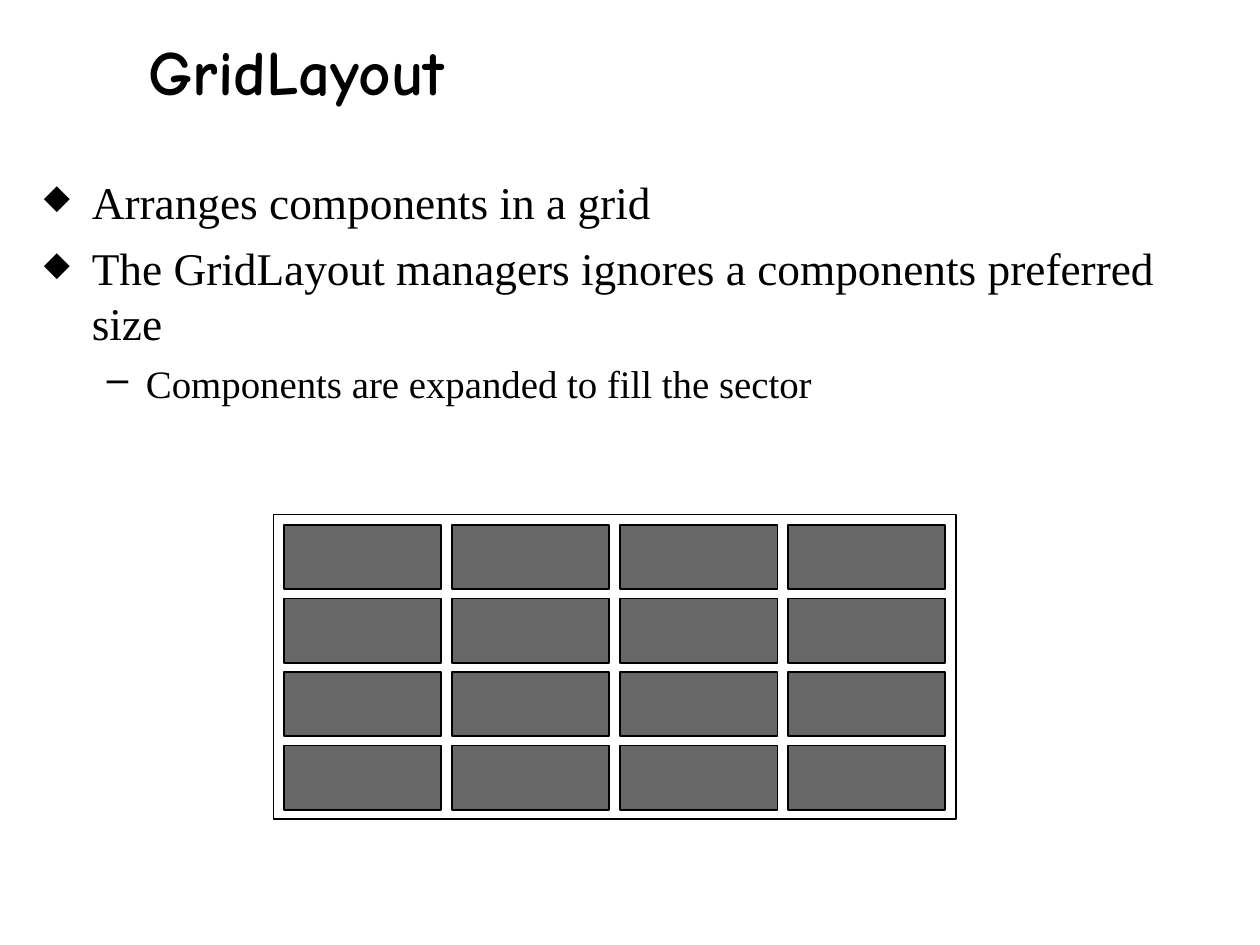
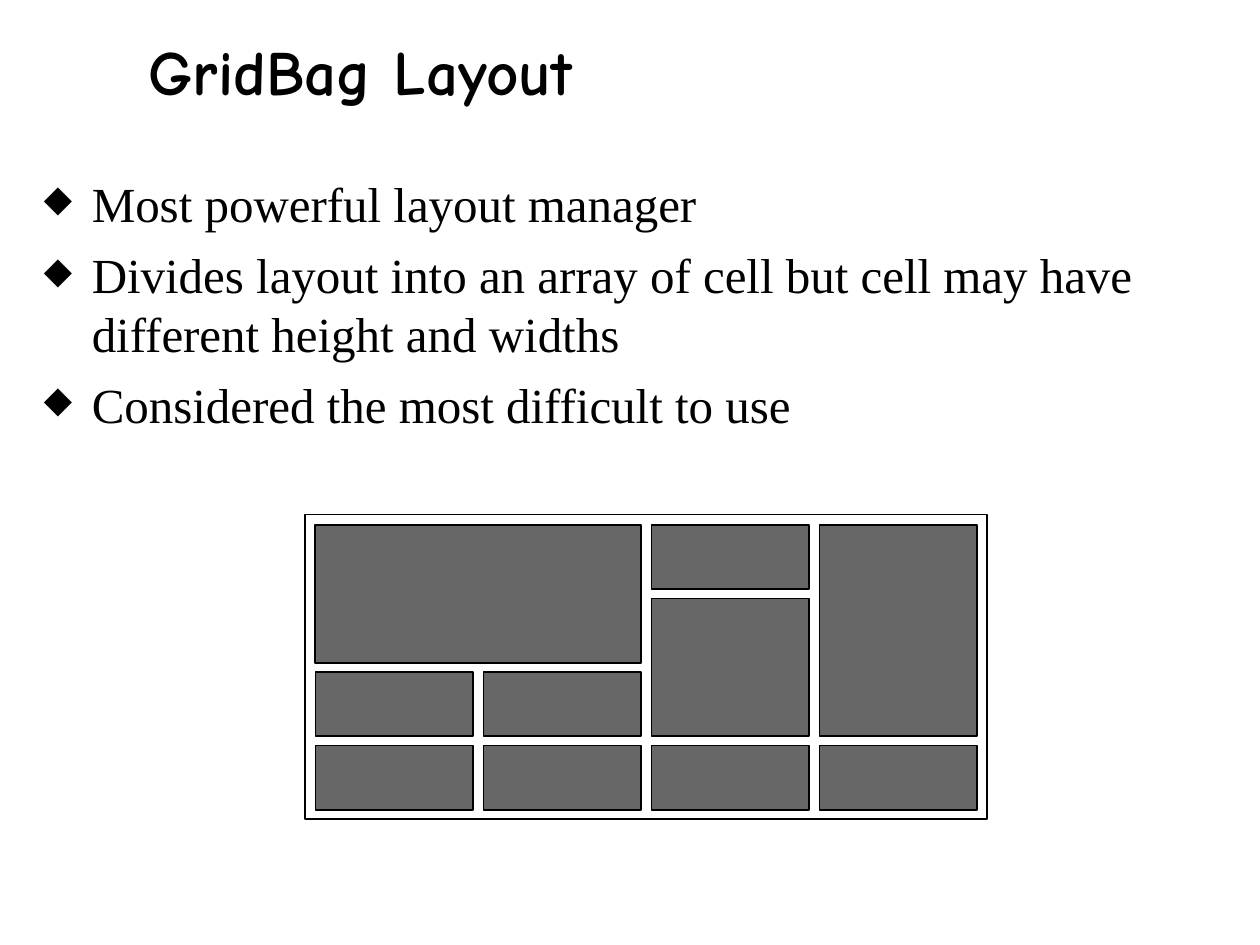
from dataclasses import dataclass
from itertools import product
from typing import Optional

from lxml.etree import SubElement
from pptx import Presentation
from pptx.dml.color import RGBColor
from pptx.enum.shapes import MSO_SHAPE
from pptx.enum.text import MSO_ANCHOR
from pptx.oxml.ns import qn
from pptx.util import Inches, Pt

BLACK = RGBColor(0x00, 0x00, 0x00)
CELL_GRAY = RGBColor(0x67, 0x67, 0x67)
TITLE_FONT = "Comic Neue"
BODY_FONT = "Times New Roman"

GAP = Inches(1 / 12)
CELL_WIDTH = Inches(1.25)
CELL_HEIGHT = Inches(0.51)
COLUMN_PITCH = CELL_WIDTH + GAP
ROW_PITCH = Inches(7 / 12)
GRID_SIZE = 4
FRAME_TOP = Inches(49 / 12)


@dataclass(frozen=True)
class BulletStyle:
    symbol: str
    margin: float
    hanging: float
    space_before: float
    percent: int


@dataclass(frozen=True)
class Line:
    text: str
    size: float
    bullet: Optional[BulletStyle] = None


@dataclass(frozen=True)
class Cell:
    column: int
    row: int
    columns: int = 1
    rows: int = 1


@dataclass(frozen=True)
class LayoutSlide:
    title: str
    body_height: float
    lines: list[Line]
    frame_left: float
    cells: list[Cell]


DIAMOND = BulletStyle("◆", 0.38, 0.38, 7, 75)
DASH = BulletStyle("–", 0.81, 0.31, 6, 100)

LAYOUT_SLIDES = [
    LayoutSlide(
        title="GridLayout",
        body_height=1.92,
        lines=[
            Line("Arranges components in a grid", 25.9, DIAMOND),
            Line("The GridLayout managers ignores a components preferred size", 25.9, DIAMOND),
            Line("Components are expanded to fill the sector", 22.2, DASH),
        ],
        frame_left=2.17,
        cells=[Cell(column, row) for row, column in product(range(GRID_SIZE), repeat=2)],
    ),
    LayoutSlide(
        title="GridBag Layout",
        body_height=5.75,
        lines=[
            Line("Most powerful layout manager", 28, DIAMOND),
            Line("Divides layout into an array of cell but cell may have "
                 "different height and widths", 28, DIAMOND),
            Line("Considered the most difficult to use", 28, DIAMOND),
        ],
        frame_left=2.42,
        cells=[
            Cell(0, 0, columns=2, rows=2),
            Cell(2, 0),
            Cell(3, 0, rows=3),
            Cell(2, 1, rows=2),
            Cell(0, 2),
            Cell(1, 2),
            *[Cell(column, 3) for column in range(GRID_SIZE)],
        ],
    ),
]


def apply_bullet(paragraph, bullet: BulletStyle) -> None:
    properties = paragraph._p.get_or_add_pPr()
    properties.set("marL", str(Inches(bullet.margin)))
    properties.set("indent", str(-Inches(bullet.hanging)))
    SubElement(properties, qn("a:buSzPct"), val=str(bullet.percent * 1000))
    SubElement(properties, qn("a:buChar"), char=bullet.symbol)


def add_text(slide, lines: list[Line], *, left: float, top: float, width: float, height: float,
             font: str, bold: bool = False, anchor: MSO_ANCHOR = MSO_ANCHOR.TOP) -> None:
    box = slide.shapes.add_textbox(Inches(left), Inches(top), Inches(width), Inches(height))
    frame = box.text_frame
    frame.word_wrap = True
    frame.vertical_anchor = anchor
    for index, line in enumerate(lines):
        paragraph = frame.add_paragraph() if index else frame.paragraphs[0]
        if line.bullet:
            apply_bullet(paragraph, line.bullet)
            if index:
                paragraph.space_before = Pt(line.bullet.space_before)
        run = paragraph.add_run()
        run.text = line.text
        run.font.name = font
        run.font.size = Pt(line.size)
        run.font.bold = bold
        run.font.color.rgb = BLACK


def add_rectangle(group, left: int, top: int, width: int, height: int,
                  fill: Optional[RGBColor] = None) -> None:
    shape = group.shapes.add_shape(MSO_SHAPE.RECTANGLE, left, top, width, height)
    shape.shadow.inherit = False
    shape.line.color.rgb = BLACK
    shape.line.width = Pt(1)
    if fill is None:
        shape.fill.background()
    else:
        shape.fill.solid()
        shape.fill.fore_color.rgb = fill


def add_grid(slide, frame_left: int, cells: list[Cell]) -> None:
    group = slide.shapes.add_group_shape()
    for cell in cells:
        add_rectangle(
            group,
            frame_left + GAP + cell.column * COLUMN_PITCH,
            FRAME_TOP + GAP + cell.row * ROW_PITCH,
            CELL_WIDTH + (cell.columns - 1) * COLUMN_PITCH,
            CELL_HEIGHT + (cell.rows - 1) * ROW_PITCH,
            CELL_GRAY,
        )
    add_rectangle(group, frame_left, FRAME_TOP,
                  GRID_SIZE * COLUMN_PITCH + GAP, GRID_SIZE * ROW_PITCH + GAP)


def add_layout_slide(presentation, content: LayoutSlide) -> None:
    slide = presentation.slides.add_slide(presentation.slide_layouts[6])
    add_text(slide, [Line(content.title, 36)], left=1.08, top=0.08, width=8.75, height=0.83,
             font=TITLE_FONT, bold=True, anchor=MSO_ANCHOR.BOTTOM)
    add_text(slide, content.lines, left=0.25, top=1.33, width=9.42, height=content.body_height,
             font=BODY_FONT)
    add_grid(slide, Inches(content.frame_left), content.cells)


def main() -> None:
    presentation = Presentation()
    presentation.slide_width = Inches(10)
    presentation.slide_height = Inches(7.5)
    for content in LAYOUT_SLIDES:
        add_layout_slide(presentation, content)
    presentation.save("out.pptx")


if __name__ == "__main__":
    main()
